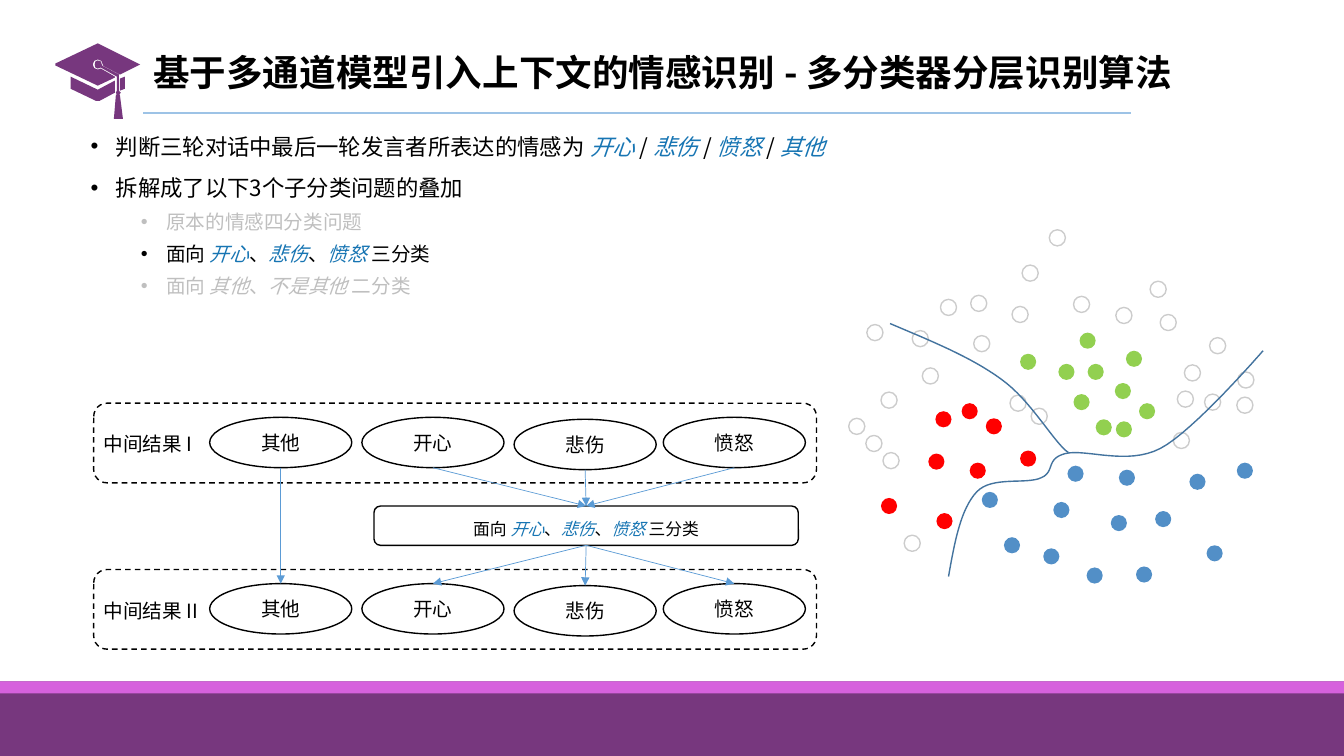
from dataclasses import dataclass

from pptx import Presentation
from pptx import util as u
from pptx.dml import color
from pptx.enum import dml, shapes, text
from pptx.oxml import ns, xmlchemy


@dataclass(frozen=True)
class Theme:
    """Colours, type sizes and font of the slide."""
    font: str = "Noto Sans CJK SC"
    ink: str = "000000"
    accent: str = "1775B3"
    muted: str = "BFBFBF"
    purple: str = "77377E"
    pink: str = "D661DD"
    rule: str = "9DC3E6"
    arrow: str = "5B9BD5"
    boundary: str = "43739E"
    red: str = "FF0000"
    green: str = "92D050"
    blue: str = "528FC7"
    title: float = 26.1
    body: float = 16
    detail: float = 14
    small: float = 12


THEME = Theme()
COLUMNS, ROWS = 133.33, 75
DOT = 1.6
FEELINGS = ("其他", "开心", "悲伤", "愤怒")
FEELING_SPOTS = ((20.8, 1.4), (35.9, 1.4), (51, 1.6), (65.8, 1.4))
FEELING_SIZE = (14.1, 5)
BULLETS = (
    ("判断三轮对话中最后一轮发言者所表达的情感为 *开心 */ *悲伤* / *愤怒* / *其他*", 0, False),
    ("拆解成了以下3个子分类问题的叠加", 0, False),
    ("原本的情感四分类问题", 1, True),
    ("面向 *开心*、*悲伤*、*愤怒 *三分类", 1, False),
    ("面向 *其他*、*不是其他 *二分类", 1, True),
)
RED_DOTS = ((92.8, 40.8), (87.4, 49.4), (95.4, 40), (92.1, 45), (96.2, 45.9),
            (97.8, 41.5), (101.2, 44.7), (92.9, 50.9))
GREEN_DOTS = ((101.2, 35.1), (105, 36.1), (106.5, 39.1), (107.9, 36.1), (108.7, 41.6),
              (110.6, 38), (110.7, 41.8), (107.1, 33), (111.7, 34.8), (113, 40))
BLUE_DOTS = ((97.4, 48.8), (104.5, 49.8), (107.8, 56.3), (114.6, 50.7), (111, 46.6),
             (103.5, 54.4), (99.6, 53.3), (105.9, 46.2), (112.7, 56.2), (122.7, 45.9),
             (119.7, 54.1), (118, 47), (110.2, 51.1))
RINGS = ((84.2, 41.5), (90.5, 32.8), (87.4, 38.9), (85.9, 43.2), (91.5, 36.5), (96.6, 33.3),
         (89.7, 53.1), (100.4, 30.4), (87.6, 44.9), (100.2, 39.2), (102.3, 40.5),
         (106.5, 29.4), (110.7, 30.5), (93.3, 29.7), (86, 32.2), (96.3, 29.3),
         (104.1, 22.8), (116.4, 42.9), (116.8, 38.8), (115.1, 31.2), (114.1, 27.9),
         (120, 33.5), (119.5, 39.1), (122.8, 36.9), (117.5, 36.2), (122.7, 39.4),
         (101.4, 26.3))
CAP = (
    ((11.9, 9), (12.4, 8.8), (12.4, 7.6), (11.9, 7.8)),
    ((7, 7.6), (7, 8.8), (9.5, 10), (9.9, 10), (11.4, 9.2), (11.4, 8), (9.7, 8.9)),
    ((11.8, 7.5), (11.8, 7.4), (10.1, 6.5), (10.1, 6.4), (10, 6.1), (9.7, 6), (9.47, 6.1),
     (9.4, 6.4), (9.47, 6.7), (9.7, 6.8), (10, 6.7), (11.6, 7.6)),
    ((13.9, 6.4), (9.7, 4.3), (5.5, 6.3), (5.5, 6.5), (9.7, 8.5), (11.4, 7.7), (11.4, 7.6),
     (10, 6.8), (9.7, 6.9), (9.35, 6.76), (9.2, 6.4), (9.35, 6.04), (9.7, 5.9),
     (10.06, 6.04), (10.2, 6.4), (10.2, 6.5), (11.9, 7.4)),
    ((11.8, 7.5), (11.8, 9), (12, 9.2), (11.8, 9.4), (11.9, 9.4), (12.2, 11.8),
     (11.3, 11.8), (11.5, 9.4), (11.6, 9.4), (11.5, 9.2), (11.6, 9), (11.6, 7.6)),
)
BOUNDARIES = (
    ((88.3, 32.1), (92.3, 33.8), (96.3, 35.4), (99.3, 37.6), (102.3, 39.7), (104.6, 44),
     (106, 44.9)),
    ((94.1, 57.2), (94.7, 53.8), (95.3, 50.5), (96.9, 48.8), (98.4, 47.2), (101.8, 48.1),
     (103.3, 47.4), (104.7, 46.8), (103.7, 45.5), (105.7, 45), (107.7, 44.5), (111.8, 46.2),
     (115.1, 44.5), (118.4, 42.8), (125.3, 34.8), (125.3, 34.8)),
)


def cells(*counts):
    """Turn counts of grid cells into lengths."""
    return [u.Inches(count / 10) for count in counts]


def apply(target, values):
    """Set each named attribute of the target."""
    for name, value in values.items():
        setattr(target, name, value)


def paint(shape, fill=None, line=None, width=1.0, dash=None, alpha=None):
    """Give a shape its fill and outline, without a shadow."""
    shape.shadow.inherit = False
    if fill:
        shape.fill.solid()
        shape.fill.fore_color.rgb = color.RGBColor.from_string(fill)
    else:
        shape.fill.background()
    if not line:
        shape.line.fill.background()
        return
    shape.line.color.rgb = color.RGBColor.from_string(line)
    apply(shape.line, {"width": u.Pt(width), "dash_style": dash})
    if alpha:
        tint = shape.line._ln.find(".//" + ns.qn("a:srgbClr"))
        xmlchemy.OxmlElement("a:alpha")
        tint.append(element("a:alpha", val=str(alpha * 1000)))


def element(tag, **attributes):
    """Make one XML element with its attributes."""
    made = xmlchemy.OxmlElement(tag)
    for name, value in attributes.items():
        made.set(name, value)
    return made


def add_shape(slide, kind, box, **look):
    """Add a painted preset shape."""
    shape = slide.shapes.add_shape(kind, *cells(*box))
    paint(shape, **look)
    return shape


def write(paragraph, words, size, muted=False, bold=False):
    """Write words, with the parts between asterisks emphasised."""
    for index, part in enumerate(words.split("*")):
        if not part:
            continue
        emphasis = index % 2 == 1
        run = paragraph.add_run()
        run.text = part
        shade = THEME.muted if muted else THEME.accent if emphasis else THEME.ink
        run.font.color.rgb = color.RGBColor.from_string(shade)
        apply(run.font, {"size": u.Pt(size), "name": THEME.font, "bold": bold, "italic": emphasis})
        run.font._element.append(element("a:ea", typeface=THEME.font))


def add_label(shape, words, size, spacing=1.0):
    """Centre a label inside a shape."""
    frame = shape.text_frame
    apply(frame, {"word_wrap": True, "vertical_anchor": text.MSO_ANCHOR.MIDDLE})
    apply(frame.paragraphs[0], {"alignment": text.PP_ALIGN.CENTER, "line_spacing": spacing})
    write(frame.paragraphs[0], words, size)


def add_text_box(slide, box):
    """Add a wrapping text box and return its frame."""
    frame = slide.shapes.add_textbox(*cells(*box)).text_frame
    frame.word_wrap = True
    return frame


def add_bullets(slide):
    """Add the bulleted outline."""
    frame = add_text_box(slide, (8, 12.4, 111.5, 53.5))
    for index, (words, level, muted) in enumerate(BULLETS):
        paragraph = frame.paragraphs[0] if index == 0 else frame.add_paragraph()
        properties = paragraph._p.get_or_add_pPr()
        properties.set("marL", str(u.Inches(0.25 + level / 2)))
        properties.set("indent", str(-u.Inches(0.25)))
        tint = element("a:buClr")
        tint.append(element("a:srgbClr", val=THEME.muted if muted else THEME.ink))
        properties.extend([tint, element("a:buFont", typeface="Arial"), element("a:buChar", char="•")])
        before = 0 if index == 0 else 4.4 if level else 8.8
        apply(paragraph, {"level": level, "line_spacing": 1.1, "space_before": u.Pt(before)})
        write(paragraph, words, THEME.detail if level else THEME.body, muted)


def add_line(slide, start, end, shade, width, arrow=False):
    """Add a straight line, with an arrowhead if asked."""
    line = slide.shapes.add_connector(shapes.MSO_CONNECTOR.STRAIGHT, *cells(*start, *end))
    line.line.color.rgb = color.RGBColor.from_string(shade)
    line.line.width = u.Pt(width)
    if arrow:
        line.line._ln.append(element("a:tailEnd", type="triangle"))
    line._element.spPr.append(element("a:effectLst"))


def add_outline(slide, contours, close, **look):
    """Add one freeform made of several contours."""
    paths = [[cells(*point) for point in contour] for contour in contours]
    builder = slide.shapes.build_freeform(*paths[0][0])
    for index, path in enumerate(paths):
        if index:
            builder.move_to(*path[0])
        builder.add_line_segments(path[1:], close=close)
    paint(builder.convert_to_shape(), **look)


def curve(points, steps=16):
    """Sample a chain of cubic curves."""
    sampled = [points[0]]
    for first in range(0, len(points) - 1, 3):
        a, b, c, d = points[first:first + 4]
        for step in range(1, steps + 1):
            t = step / steps
            weights = ((1 - t) ** 3, 3 * t * (1 - t) ** 2, 3 * t * t * (1 - t), t ** 3)
            sampled.append(tuple(sum(w * p[axis] for w, p in zip(weights, (a, b, c, d)))
                                 for axis in (0, 1)))
    return sampled


def add_result_row(slide, words, top, label_width):
    """Add a dashed panel with its label and four feelings."""
    add_shape(slide, shapes.MSO_SHAPE.ROUNDED_RECTANGLE, (9.3, top, 71.7, 7.9),
              line=THEME.ink, dash=dml.MSO_LINE.DASH)
    frame = add_text_box(slide, (9.3, top + 2.4, label_width, 3.4))
    write(frame.paragraphs[0], words, THEME.detail)
    for feeling, (left, drop) in zip(FEELINGS, FEELING_SPOTS):
        oval = add_shape(slide, shapes.MSO_SHAPE.OVAL, (left, top + drop, *FEELING_SIZE), line=THEME.ink)
        add_label(oval, feeling, THEME.detail)


def add_flow(slide, upper=40, lower=56.5):
    """Add both result rows, the classifier and the arrows."""
    add_result_row(slide, "中间结果 I", upper, 10.9)
    add_result_row(slide, "中间结果 II", lower, 13.6)
    left, top, width, height = classifier = (37.1, 50.2, 42.1, 3.9)
    box = add_shape(slide, shapes.MSO_SHAPE.ROUNDED_RECTANGLE, classifier, line=THEME.ink)
    add_label(box, "面向 *开心*、*悲伤*、*愤怒* 三分类", THEME.small, 1.3)
    for feeling, (column, drop) in zip(FEELINGS, FEELING_SPOTS):
        middle = column + FEELING_SIZE[0] / 2
        start, end = (middle, upper + drop + FEELING_SIZE[1]), (middle, lower + drop)
        hub = left + width / 2
        legs = [(start, end)] if feeling == "其他" else [(start, (hub, top)), ((hub, top + height), end)]
        for leg in legs:
            add_line(slide, *leg, THEME.arrow, 0.5, arrow=True)


def add_scatter(slide):
    """Add the dots, the rings and the class boundaries."""
    groups = [(RED_DOTS, {"fill": THEME.red}), (GREEN_DOTS, {"fill": THEME.green}),
              (BLUE_DOTS, {"fill": THEME.blue}), (RINGS, {"line": THEME.ink, "alpha": 20})]
    for spots, look in groups:
        for spot in spots:
            add_shape(slide, shapes.MSO_SHAPE.OVAL, (*spot, DOT, DOT), **look)
    for points in BOUNDARIES:
        add_outline(slide, [curve(points)], False, line=THEME.boundary)


def add_title(slide):
    """Place and write the title, its cap and its rule."""
    title = slide.shapes.title
    apply(title, dict(zip(("left", "top", "width", "height"), cells(14.2, 3.7, 105.8, 7.5))))
    apply(title.text_frame, {"word_wrap": True, "auto_size": text.MSO_AUTO_SIZE.NONE,
                             "vertical_anchor": text.MSO_ANCHOR.MIDDLE})
    paragraph = title.text_frame.paragraphs[0]
    apply(paragraph, {"alignment": text.PP_ALIGN.LEFT, "line_spacing": 0.9})
    write(paragraph, "基于多通道模型引入上下文的情感识别 - 多分类器分层识别算法", THEME.title, bold=True)
    add_outline(slide, CAP, True, fill=THEME.purple)
    add_line(slide, (14.2, 11.2), (112.2, 11.2), THEME.rule, 1.5)


def main():
    """Build and save the slide."""
    presentation = Presentation()
    apply(presentation, dict(zip(("slide_width", "slide_height"), cells(COLUMNS, ROWS))))
    slide = presentation.slides.add_slide(presentation.slide_layouts[5])
    add_title(slide)
    add_bullets(slide)
    add_scatter(slide)
    add_flow(slide)
    for height, shade in ((7.4, THEME.purple), (1.2, THEME.pink)):
        add_shape(slide, shapes.MSO_SHAPE.RECTANGLE, (0, 67.6, COLUMNS, height), fill=shade)
    presentation.save("out.pptx")


if __name__ == "__main__":
    main()
